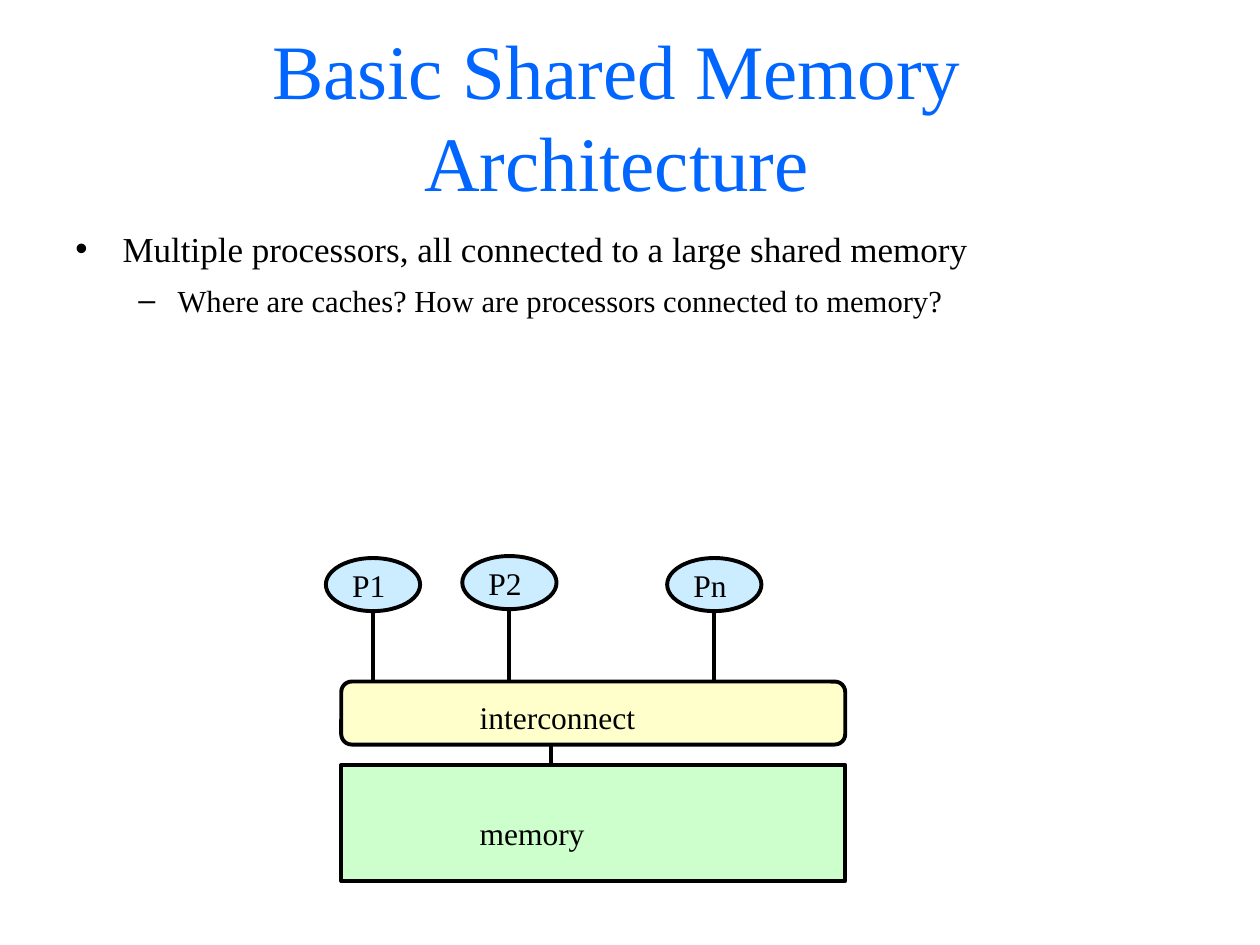
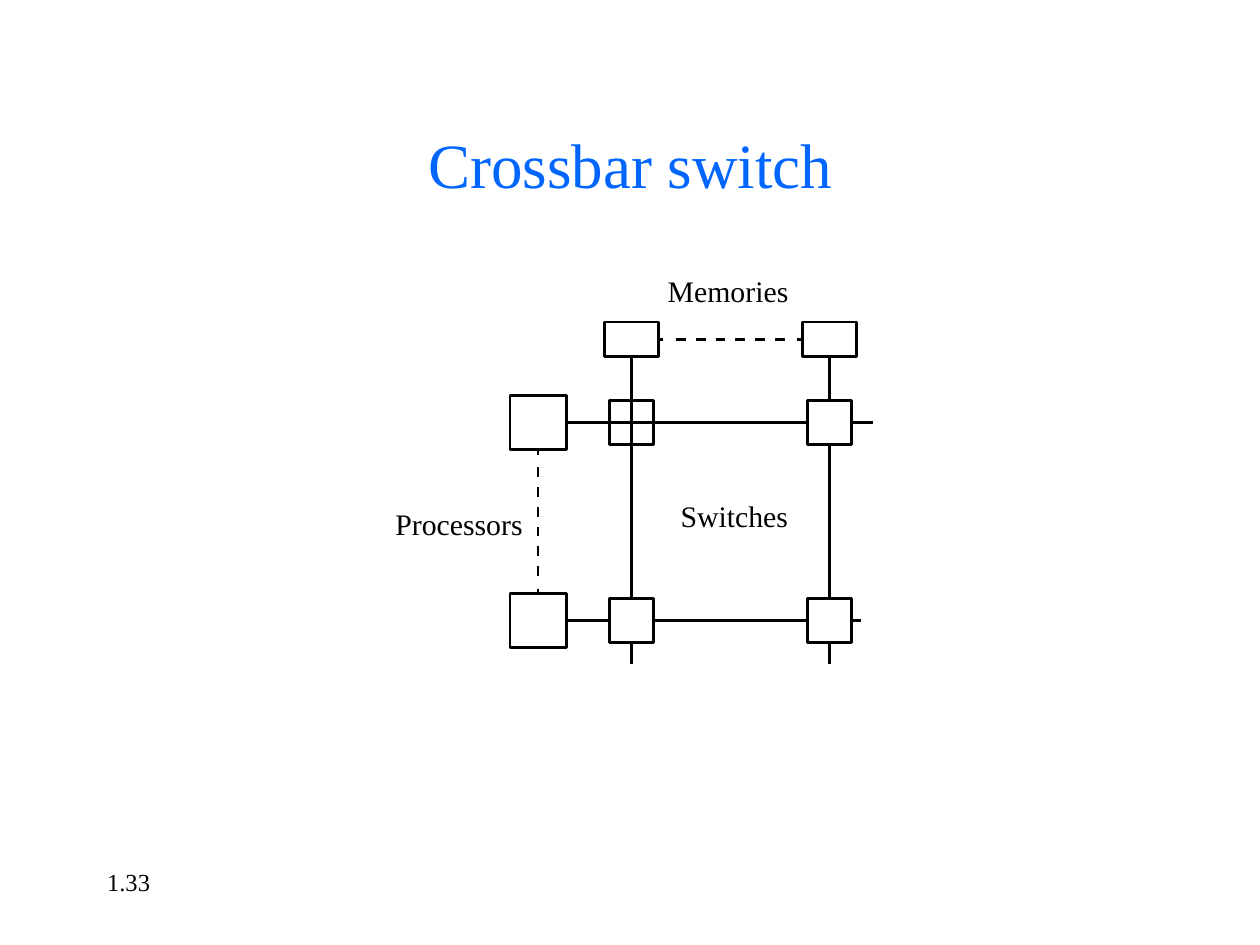
import pptx
import pptx.dml.color
import pptx.enum.shapes
import pptx.enum.text
import pptx.util
from lxml import etree

Cm, Pt = pptx.util.Cm, pptx.util.Pt
SHAPE = pptx.enum.shapes.MSO_SHAPE
ALIGN = pptx.enum.text.PP_ALIGN
ANCHOR = pptx.enum.text.MSO_ANCHOR
FIT = pptx.enum.text.MSO_AUTO_SIZE
DRAWING = "http://schemas.openxmlformats.org/drawingml/2006/main"

# Shared look
FONT, BLACK, WHITE, TITLE_BLUE = "Times New Roman", "000000", "FFFFFF", "0066FF"
PROCESSOR_BLUE, BUS_YELLOW, MEMORY_GREEN = "CCECFF", "FFFFCC", "CCFFCC"
INSETS = (0.25, 0.13, 0.25, 0.13)
THICK, THIN = 2.25, 1.39

# Slide 1 content; lengths in cm
ARCHITECTURE = {"text": "Basic Shared Memory Architecture", "size": 44,
                "box": (2.11, 1.47, 20.65, 1.68)}
BULLETS_BOX = (1.27, 4.45, 22.23, 2.13)
BULLETS = [  # text, level, size, space before, left margin, hanging indent
    ("Multiple processors, all connected to a large shared memory", 0, 20, 0, 0.95, 0.95),
    ("Where are caches? How are processors connected to memory?", 1, 17.5, 7, 2.06, 0.79),
]
PROCESSORS = [("P1", 6.57, 11.25), ("P2", 9.32, 11.21), ("Pn", 13.45, 11.25)]
PROCESSOR_W, PROCESSOR_H, LINK_H = 1.9, 1.07, 1.42
BLOCKS = [  # label, label box, outline, fill, block box
    ("interconnect", (9.42, 13.94, 4.98, 1.02), SHAPE.ROUNDED_RECTANGLE, BUS_YELLOW,
     (6.88, 13.74, 10.16, 1.27)),
    ("memory", (9.42, 16.28, 5.5, 1.02), SHAPE.RECTANGLE, MEMORY_GREEN,
     (6.88, 15.42, 10.16, 2.34)),
]
BUS_LINK = (11.11, 15.01, 11.11, 15.42)

# Slide 2 content
CROSSBAR = {"text": "Crossbar switch", "size": 36, "box": (1.91, 1.7, 21.59, 3.18)}
COLUMNS, ROWS = (12.73, 16.72), (8.52, 12.51)
ROW_ENDS = (17.6, 17.35)
ROW_START, COLUMN_START, COLUMN_END = 11.4, 7.19, 13.39
PROCESSOR_X, MEMORY_Y = 10.85, 6.84
SWITCH, MEMORY, PROCESSOR = (0.89, 0.89), (1.09, 0.69), (1.14, 1.09)
DASHES, DASH_PITCH, DASH = 8, 0.4, 0.2
LABELS = [("Switches", (13.72, 10.03, 2.4, 0.71)),
          ("Processors", (7.97, 10.19, 2.8, 0.71)),
          ("Memories", (13.46, 5.5, 2.7, 0.71))]
PAGE_NUMBER = ("1.33", (1.91, 17.35, 5.28, 1.27))


def rgb(value):
    return pptx.dml.color.RGBColor.from_string(value)


def cm(values):
    return [Cm(v) for v in values]


def set_all(obj, values):
    for name, value in values.items():
        setattr(obj, name, value)


def place(sp, box):
    set_all(sp, dict(zip(("left", "top", "width", "height"), cm(box))))


def style_text(p, size, color=BLACK, **values):
    set_all(p, values)
    set_all(p.font, {"name": FONT, "size": Pt(size)})
    p.font.color.rgb = rgb(color)


def set_frame(tf, insets=INSETS, **values):
    names = ("margin_left", "margin_top", "margin_right", "margin_bottom")
    set_all(tf, dict(zip(names, cm(insets))))
    set_all(tf, values)


def add_title(s, title):
    sp = s.shapes.title
    place(sp, title["box"])
    set_frame(sp.text_frame, auto_size=FIT.NONE, vertical_anchor=ANCHOR.MIDDLE)
    sp.text_frame.text = title["text"]
    style_text(sp.text_frame.paragraphs[0], title["size"], TITLE_BLUE,
               alignment=ALIGN.CENTER)


def add_label(shapes, text, box, size, insets=INSETS):
    tf = shapes.add_textbox(*cm(box)).text_frame
    set_frame(tf, insets, word_wrap=True)
    tf.text = text
    style_text(tf.paragraphs[0], size)


def add_box(shapes, kind, box, width, fill=None):
    sp = shapes.add_shape(kind, *cm(box))
    sp.shadow.inherit = False
    if fill:
        sp.fill.solid()
        sp.fill.fore_color.rgb = rgb(fill)
    else:
        sp.fill.background()
    sp.line.color.rgb = rgb(BLACK)
    sp.line.width = Pt(width)
    return sp


def add_centred_box(shapes, x, y, size, fill=None):
    w, h = size
    add_box(shapes, SHAPE.RECTANGLE, (x - w / 2, y - h / 2, w, h), THIN, fill)


def add_line(shapes, ends, width):
    line = shapes.add_connector(pptx.enum.shapes.MSO_CONNECTOR.STRAIGHT, *cm(ends))
    line.line.color.rgb = rgb(BLACK)
    line.line.width = Pt(width)
    etree.SubElement(line._element.spPr, f"{{{DRAWING}}}effectLst")


def dash_spans(first, last):
    """Evenly spaced dashes about the middle, with half-length end dashes."""
    start = (first + last - (DASHES - 1) * DASH_PITCH) / 2
    for i in range(DASHES):
        half = DASH / 4 if i in (0, DASHES - 1) else DASH / 2
        centre = start + i * DASH_PITCH
        yield centre - half, centre + half


def build_architecture(prs):
    s = prs.slides.add_slide(prs.slide_layouts[1])
    add_title(s, ARCHITECTURE)

    # Bulleted list
    body = s.placeholders[1]
    place(body, BULLETS_BOX)
    tf = body.text_frame
    set_frame(tf, auto_size=FIT.NONE)
    for i, (text, level, size, before, margin, hang) in enumerate(BULLETS):
        p = tf.add_paragraph() if i else tf.paragraphs[0]
        p.text = text
        pPr = p._p.get_or_add_pPr()
        pPr.set("marL", str(Cm(margin)))
        pPr.set("indent", str(-Cm(hang)))
        style_text(p, size, level=level, space_before=Pt(before))

    # Interconnect and memory
    diagram = s.shapes.add_group_shape().shapes
    for label, label_box, kind, fill, box in BLOCKS:
        add_box(diagram, kind, box, THICK, fill)
        add_label(diagram, label, label_box, 18)
    add_line(diagram, BUS_LINK, THICK)

    # Processors and their links
    for name, x, y in PROCESSORS:
        sp = add_box(diagram, SHAPE.OVAL, (x, y, PROCESSOR_W, PROCESSOR_H),
                     THICK, PROCESSOR_BLUE)
        set_frame(sp.text_frame, word_wrap=False, vertical_anchor=ANCHOR.MIDDLE)
        sp.text_frame.text = name
        style_text(sp.text_frame.paragraphs[0], 18, alignment=ALIGN.LEFT)
        middle, bottom = x + PROCESSOR_W / 2, y + PROCESSOR_H
        add_line(diagram, (middle, bottom, middle, bottom + LINK_H), THICK)


def build_crossbar(prs):
    s = prs.slides.add_slide(prs.slide_layouts[5])
    shapes = s.shapes
    add_title(s, CROSSBAR)
    add_label(shapes, *PAGE_NUMBER, 14)

    # Buses
    for y, end in zip(ROWS, ROW_ENDS):
        add_line(shapes, (ROW_START, y, end, y), THIN)
    for x in COLUMNS:
        add_line(shapes, (x, COLUMN_START, x, COLUMN_END), THIN)

    # Switches: the first one shows its crossing lines
    for x in COLUMNS:
        for y in ROWS:
            first = (x, y) == (COLUMNS[0], ROWS[0])
            add_centred_box(shapes, x, y, SWITCH, None if first else WHITE)

    for text, box in LABELS:
        add_label(shapes, text, box, 17, (0, 0, 0, 0))

    # Dashes standing for further memories and processors
    for a, b in dash_spans(*COLUMNS):
        add_line(shapes, (a, MEMORY_Y, b, MEMORY_Y), THIN)
    for a, b in dash_spans(*ROWS):
        add_line(shapes, (PROCESSOR_X, a, PROCESSOR_X, b), THIN)

    # Memories and processors
    for x in COLUMNS:
        add_centred_box(shapes, x, MEMORY_Y, MEMORY)
    for y in ROWS:
        add_centred_box(shapes, PROCESSOR_X, y, PROCESSOR)


def main():
    prs = pptx.Presentation()
    set_all(prs, {"slide_width": Cm(25.4), "slide_height": Cm(19.05)})
    build_architecture(prs)
    build_crossbar(prs)
    prs.save("out.pptx")


if __name__ == "__main__":
    main()
